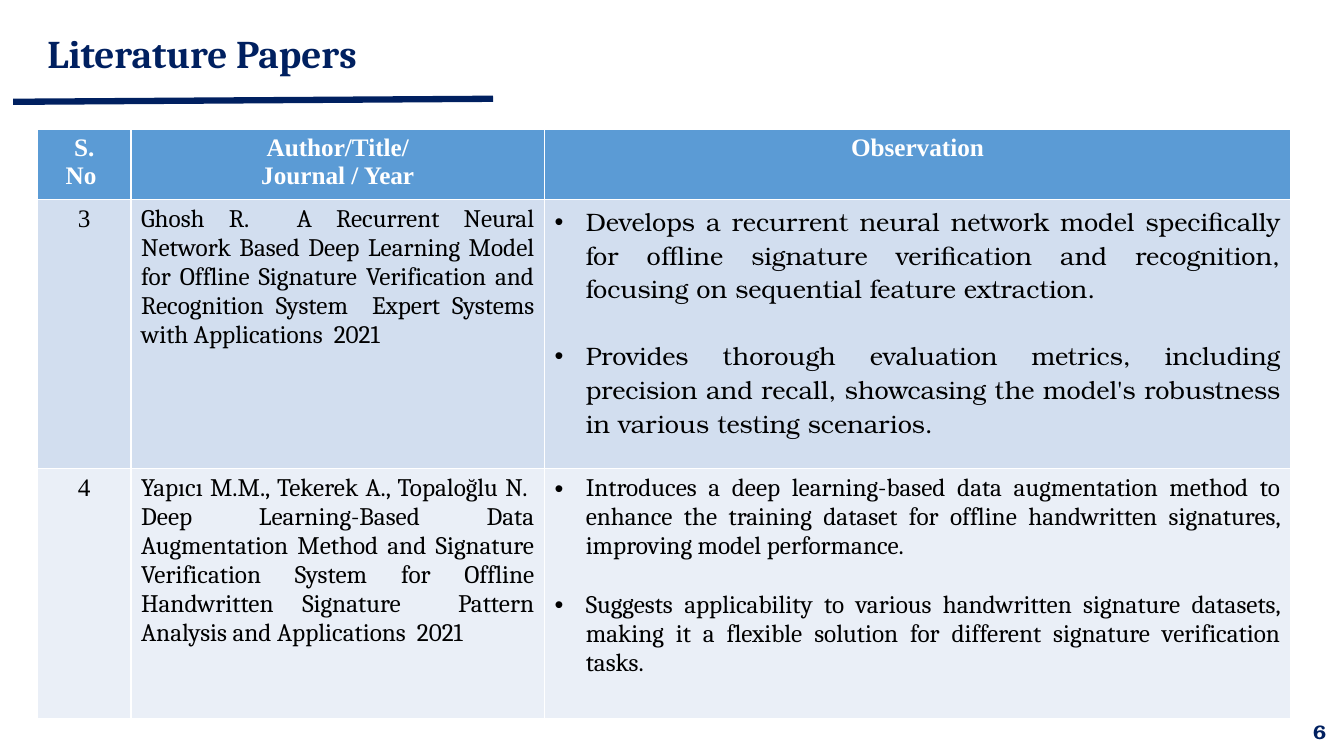
"""Build the literature papers slide."""
from dataclasses import dataclass

from lxml import etree
from pptx import Presentation
from pptx import util as u
from pptx.dml.color import RGBColor
from pptx.enum import shapes, text
from pptx.oxml import ns

NAVY = RGBColor(0x00, 0x20, 0x60)
BLUE = RGBColor(0x5B, 0x9B, 0xD5)
PALE = RGBColor(0xD2, 0xDE, 0xEF)
MIST = RGBColor(0xEA, 0xEF, 0xF7)
WHITE = RGBColor(0xFF, 0xFF, 0xFF)
BLACK = RGBColor(0x00, 0x00, 0x00)
SERIF, ROMAN, BONUM = "Cambria", "Times New Roman", "TeX Gyre Bonum"
ALIGN = text.PP_ALIGN
WIDE, HIGH = u.Inches(13.33), u.Inches(7.5)
UNIT = HIGH / 90
COLS = (11.16, 49.2, 88.8)
ROWS = (8.16, 32.04, 29.76)


@dataclass
class Face:
    """Font of a paragraph."""
    name: str
    color: RGBColor = BLACK
    size: float = 18
    bold: bool = False


@dataclass
class Entry:
    """Content of one table cell."""
    lines: list[str]
    face: Face
    align: ALIGN = ALIGN.CENTER
    gap: float = 0
    list: bool = False


def grid(*units: float) -> list[int]:
    """Turn grid units into lengths."""
    return [round(n * UNIT) for n in units]


def style(para, face: Face, align: ALIGN) -> None:
    """Set the font and alignment of a paragraph."""
    para.alignment = align
    font = para.font
    font.name, font.size, font.bold = face.name, u.Pt(face.size), face.bold
    font.color.rgb = face.color


def bullet(para) -> None:
    """Give a paragraph a hanging bullet."""
    props = para._p.get_or_add_pPr()
    props.set("marL", str(u.Inches(0.31)))
    props.set("indent", str(-u.Inches(0.31)))
    etree.SubElement(props, ns.qn("a:buFont")).set("typeface", "Arial")
    etree.SubElement(props, ns.qn("a:buChar")).set("char", "•")


def write(frame, entry: Entry) -> None:
    """Write an entry into a text frame."""
    for i, line in enumerate(entry.lines):
        para = frame.add_paragraph() if i else frame.paragraphs[0]
        para.text = line
        if entry.list:
            bullet(para)
        if i and entry.gap:
            para.space_before = u.Pt(entry.gap)
        style(para, entry.face, entry.align)


def points(lines: list[str], name: str, gap: float) -> Entry:
    """Make a bulleted cell."""
    return Entry(lines, Face(name), ALIGN.JUSTIFY, gap, True)


def head(*lines: str) -> Entry:
    """Make a header cell."""
    return Entry(list(lines), Face(ROMAN, WHITE, bold=True))


def paper(num: str, cite: str, notes: Entry) -> list[Entry]:
    """Make the row of one paper."""
    return [Entry([num], Face(ROMAN)),
            Entry([cite], Face(SERIF), ALIGN.JUSTIFY), notes]


PAPERS = [
    [head("S.", "No "), head("Author/Title/", "Journal / Year"),
     head("Observation")],
    paper("3", "Ghosh R.  A Recurrent Neural Network Based Deep Learning Model "
          "for Offline Signature Verification and Recognition System  Expert "
          "Systems with Applications  2021",
          points(["Develops a recurrent neural network model specifically for "
                  "offline signature verification and recognition, focusing on "
                  "sequential feature extraction.",
                  "Provides thorough evaluation metrics, including precision "
                  "and recall, showcasing the model's robustness in various "
                  "testing scenarios."], BONUM, 24)),
    paper("4", "Yapıcı M.M., Tekerek A., Topaloğlu N.  Deep Learning-Based Data "
          "Augmentation Method and Signature Verification System for Offline "
          "Handwritten Signature  Pattern Analysis and Applications  2021",
          points(["Introduces a deep learning-based data augmentation method to "
                  "enhance the training dataset for offline handwritten "
                  "signatures, improving model performance.",
                  "Suggests applicability to various handwritten signature "
                  "datasets, making it a flexible solution for different "
                  "signature verification tasks."], SERIF, 21)),
]


def rule(slide) -> None:
    """Draw the line under the title."""
    line = slide.shapes.add_connector(
        shapes.MSO_CONNECTOR.STRAIGHT, *grid(1.56, 12.12, 58.68, 11.76))
    line.line.color.rgb, line.line.width = NAVY, u.Pt(4.5)
    etree.SubElement(line._element.spPr, ns.qn("a:effectLst"))


def title(slide) -> None:
    """Fill and place the title."""
    box = slide.shapes.title
    box.left, box.top, box.width, box.height = grid(4.44, 2.76, 128.16, 7.8)
    frame = box.text_frame
    frame.vertical_anchor = text.MSO_ANCHOR.MIDDLE
    write(frame, Entry(["Literature Papers"], Face(SERIF, NAVY, 28, True),
                       ALIGN.LEFT))
    frame.paragraphs[0].line_spacing = 0.9


def number(slide) -> None:
    """Add the page number."""
    frame = slide.shapes.add_textbox(*grid(123, 84.72, 36, 4.8)).text_frame
    frame.word_wrap = True
    frame.vertical_anchor = text.MSO_ANCHOR.MIDDLE
    write(frame, Entry(["6"], Face(BONUM, NAVY, 14, True), ALIGN.RIGHT))


def table(slide) -> None:
    """Add the table of papers."""
    spot = grid(4.44, 15.36, sum(COLS), sum(ROWS))
    tab = slide.shapes.add_table(len(ROWS), len(COLS), *spot).table
    for col, wide in zip(tab.columns, grid(*COLS)):
        col.width = wide
    for row, high, fill, cells in zip(tab.rows, grid(*ROWS),
                                      (BLUE, PALE, MIST), PAPERS):
        row.height = high
        for cell, entry in zip(row.cells, cells):
            cell.fill.solid()
            cell.fill.fore_color.rgb = fill
            write(cell.text_frame, entry)


def main() -> None:
    """Build and save the deck."""
    deck = Presentation()
    deck.slide_width, deck.slide_height = WIDE, HIGH
    slide = deck.slides.add_slide(deck.slide_layouts[5])
    for draw in (rule, title, number, table):
        draw(slide)
    deck.save("out.pptx")


if __name__ == "__main__":
    main()
